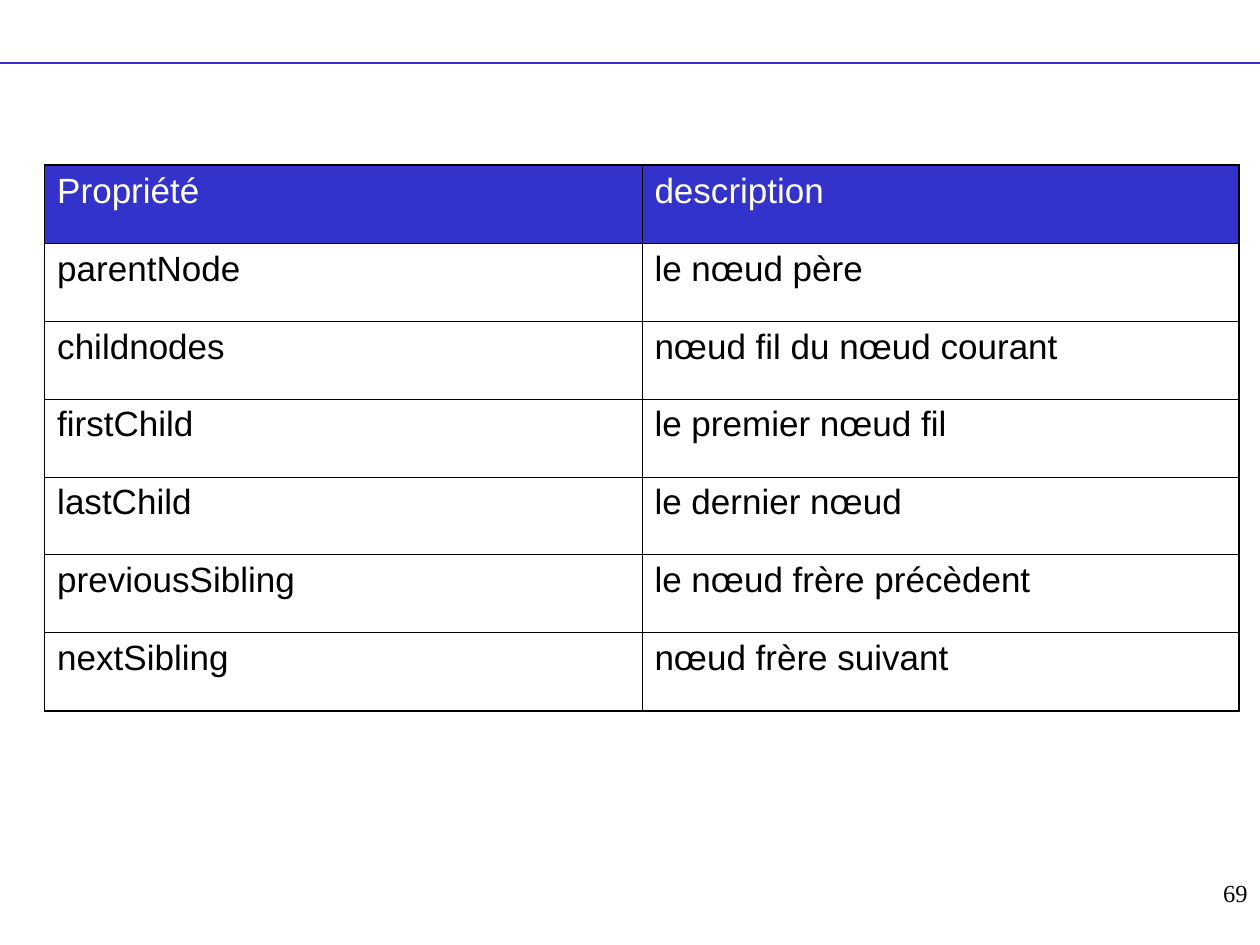
from lxml.etree import SubElement
from pptx import Presentation
from pptx.dml.color import RGBColor
from pptx.enum.shapes import MSO_CONNECTOR
from pptx.enum.text import PP_ALIGN
from pptx.oxml.ns import qn
from pptx.util import Cm, Pt

COLORS = {"blue": "3333CC", "black": "000000", "white": "FFFFFF"}
THIN, THICK = Pt(0.45), Pt(1.08)
SLIDE_WIDTH, SLIDE_HEIGHT = Cm(25.4), Cm(19.05)

ROWS = [
    ("Propriété", "description"),
    ("parentNode", "le nœud père"),
    ("childnodes", "nœud fil du nœud courant"),
    ("firstChild", "le premier nœud fil"),
    ("lastChild", "le dernier nœud"),
    ("previousSibling", "le nœud frère précèdent"),
    ("nextSibling", "nœud frère suivant"),
]


def color(name):
    return RGBColor.from_string(COLORS[name])


def format_text(paragraph, font_name, size, color_name):
    paragraph.font.name = font_name
    paragraph.font.size = Pt(size)
    paragraph.font.color.rgb = color(color_name)


def add_rule(slide):
    """Draw the line across the top of the slide."""
    rule = slide.shapes.add_connector(
        MSO_CONNECTOR.STRAIGHT, SLIDE_WIDTH, Cm(1.27), 0, Cm(1.27))
    rule.line.color.rgb = color("blue")
    rule.line.width = Pt(0.75)
    SubElement(rule._element.spPr, qn("a:effectLst"))


def set_borders(cell, widths):
    """Set border widths by side; call before setting the cell's fill."""
    properties = cell._tc.get_or_add_tcPr()
    for side, width in widths.items():
        border = SubElement(properties, qn(f"a:ln{side}"), w=str(width))
        fill = SubElement(border, qn("a:solidFill"))
        SubElement(fill, qn("a:srgbClr"), val=COLORS["black"])


def add_property_table(slide):
    row_count, column_count = len(ROWS), len(ROWS[0])
    table = slide.shapes.add_table(
        row_count, column_count, Cm(0.9), Cm(3.33), Cm(24.08), Cm(11)).table
    for row_index, texts in enumerate(ROWS):
        is_header = row_index == 0
        for column_index, text in enumerate(texts):
            cell = table.cell(row_index, column_index)
            set_borders(cell, {
                "L": THICK if column_index == 0 else THIN,
                "R": THICK if column_index == column_count - 1 else THIN,
                "T": THICK if is_header else THIN,
                "B": THICK if row_index == row_count - 1 else THIN,
            })
            if is_header:
                cell.fill.solid()
                cell.fill.fore_color.rgb = color("blue")
            else:
                cell.fill.background()
            cell.text = text
            paragraph = cell.text_frame.paragraphs[0]
            format_text(paragraph, "Arial", 20, "white" if is_header else "black")
            paragraph.font.bold = False


def add_slide_number(slide, number):
    box = slide.shapes.add_textbox(Cm(20.12), Cm(17.58), Cm(5.28), Cm(1.27))
    box.text_frame.word_wrap = True
    paragraph = box.text_frame.paragraphs[0]
    paragraph.text = number
    paragraph.alignment = PP_ALIGN.RIGHT
    format_text(paragraph, "Times New Roman", 14, "black")


def main():
    presentation = Presentation()
    presentation.slide_width = SLIDE_WIDTH
    presentation.slide_height = SLIDE_HEIGHT
    blank_layout = presentation.slide_layouts[6]
    slide = presentation.slides.add_slide(blank_layout)
    add_rule(slide)
    add_property_table(slide)
    add_slide_number(slide, "69")
    presentation.save("out.pptx")


if __name__ == "__main__":
    main()
